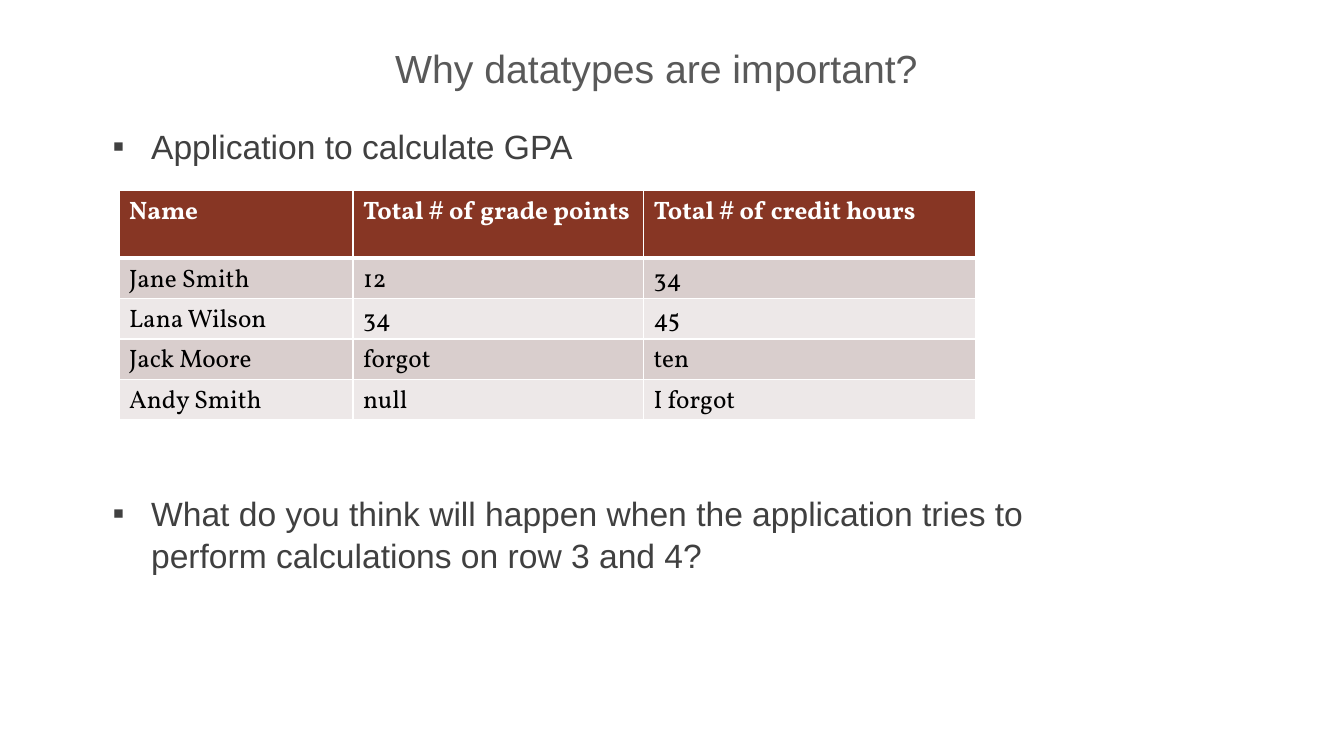
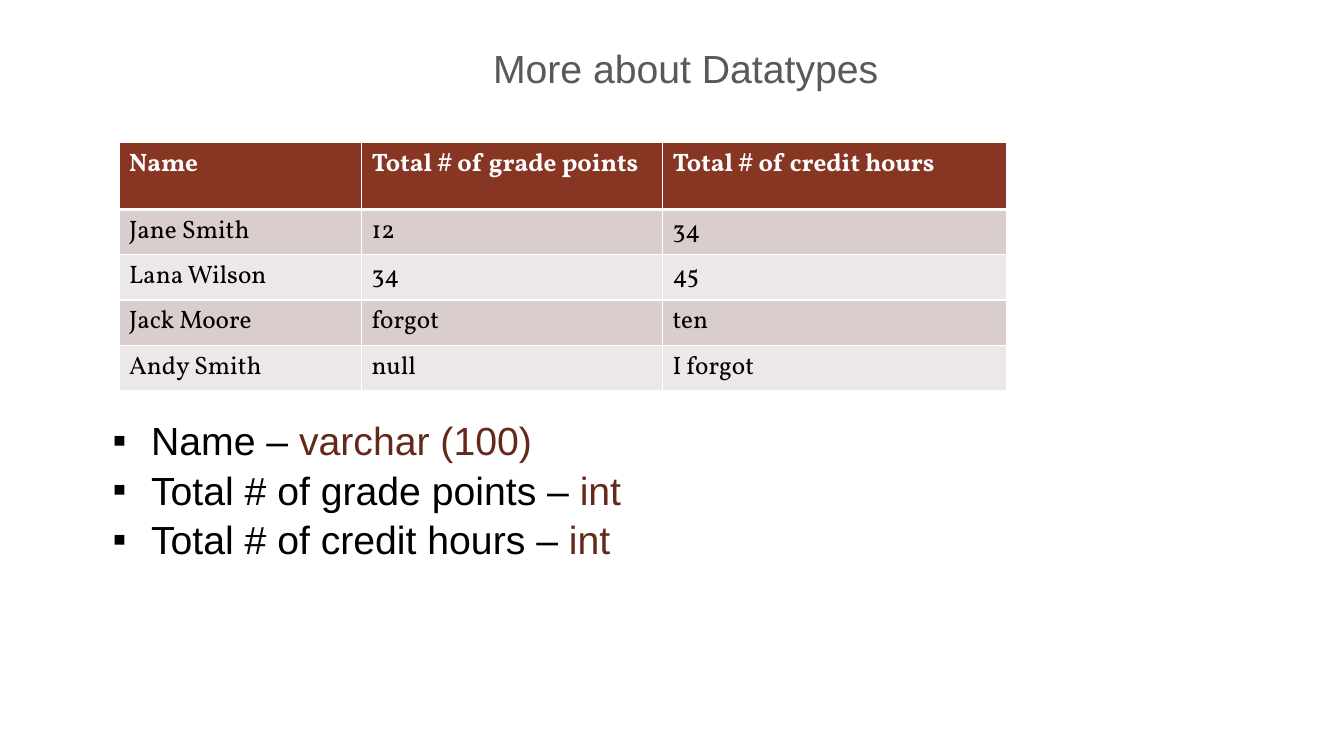
from lxml import etree
from pptx import Presentation
from pptx import util as u
from pptx.dml.color import RGBColor
from pptx.enum import text
from pptx.oxml import ns

# Shared style
TITLE, BODY, BLACK, WHITE = "595959", "404040", "000000", "FFFFFF"
ACCENT, HEADER, BANDS = "65291B", "873624", ("D9CECD", "EDE8E8")
TEXT_FONT, TABLE_FONT = "Arial", "Vollkorn"
HEADER_HEIGHT = 1.7
COLUMN_SHARES = (0.273, 0.339, 0.388)
BULLET_INDENT = u.Cm(0.97)

GRADES = [
    ("Name", "Total # of grade points", "Total # of credit hours"),
    ("Jane Smith", "12", "34"),
    ("Lana Wilson", "34", "45"),
    ("Jack Moore", "forgot", "ten"),
    ("Andy Smith", "null", "I forgot"),
]


def color(value):
    return RGBColor.from_string(value)


def add_span(para, words, size, fill, font=TEXT_FONT, bold=False):
    span = para.add_run()
    span.text = words
    span.font.size = u.Pt(size)
    span.font.name = font
    span.font.bold = bold
    span.font.color.rgb = color(fill)


def add_box(page, left, top, width, height):
    box = page.shapes.add_textbox(u.Cm(left), u.Cm(top), u.Cm(width), u.Cm(height))
    box.text_frame.word_wrap = True
    return box.text_frame


def add_title(page, words, width, height):
    frame = add_box(page, 7.14, 0.86, width, height)
    frame.margin_top = u.Cm(0.25)
    para = frame.paragraphs[0]
    para.alignment = text.PP_ALIGN.CENTER
    add_span(para, words, 28, TITLE)


def add_bullets(page, items, size, top, width, height):
    """Each item is a list of (words, colour) spans."""
    frame = add_box(page, 2.59, top, width, height)
    for index, spans in enumerate(items):
        para = frame.add_paragraph() if index else frame.paragraphs[0]
        props = para._p.get_or_add_pPr()
        props.set("marL", str(BULLET_INDENT))
        props.set("indent", str(-BULLET_INDENT))
        etree.SubElement(props, ns.qn("a:buFont")).set("typeface", TEXT_FONT)
        etree.SubElement(props, ns.qn("a:buChar")).set("char", "▪")
        para.line_spacing = 1.05
        for words, fill in spans:
            add_span(para, words, size, fill)


def set_borders(cell, widths):
    props = cell._tc.get_or_add_tcPr()
    for side, width in zip("LRTB", widths):
        line = etree.SubElement(props, ns.qn(f"a:ln{side}"), w=str(u.Pt(width)))
        fill = etree.SubElement(line, ns.qn("a:solidFill"))
        etree.SubElement(fill, ns.qn("a:srgbClr"), val=WHITE)


def add_grades(page, top, width, row_height):
    height = HEADER_HEIGHT + row_height * (len(GRADES) - 1)
    table = page.shapes.add_table(len(GRADES), len(COLUMN_SHARES), u.Cm(3),
                                  u.Cm(top), u.Cm(width), u.Cm(height)).table
    for column, share in zip(table.columns, COLUMN_SHARES):
        column.width = u.Cm(width * share)
    for row, values in enumerate(GRADES):
        is_header = row == 0
        table.rows[row].height = u.Cm(HEADER_HEIGHT if is_header else row_height)
        for column, words in enumerate(values):
            cell = table.cell(row, column)
            # A thick rule separates the header from the rows
            set_borders(cell, (1, 1, 3 if row == 1 else 1, 3 if is_header else 1))
            cell.fill.solid()
            cell.fill.fore_color.rgb = color(HEADER if is_header else BANDS[(row - 1) % 2])
            cell.margin_bottom = 0
            add_span(cell.text_frame.paragraphs[0], words, 18,
                     WHITE if is_header else BLACK, TABLE_FONT, is_header)


def build_importance(page):
    add_title(page, "Why datatypes are important?", 18.8, 1.63)
    add_bullets(page, [[("Application to calculate GPA", BODY)]], 24, 3, 28.8, 1.27)
    add_grades(page, 4.8, 21.6, 1.02)
    question = ("What do you think will happen when the application tries to "
                "perform calculations on row 3 and 4?")
    add_bullets(page, [[(question, BODY)]], 24, 12.24, 24.23, 2.31)


def build_details(page):
    add_title(page, "More about Datatypes ", 20.55, 1.78)
    add_grades(page, 3.58, 22.38, 1.14)
    types = zip(GRADES[0], ("varchar (100)", "int", "int"))
    items = [[(f"{name} – ", BLACK), (kind, ACCENT)] for name, kind in types]
    add_bullets(page, items, 28, 10.31, 25.98, 3.84)


def main():
    deck = Presentation()
    deck.slide_width, deck.slide_height = u.Cm(33.87), u.Cm(19.05)
    for build in (build_importance, build_details):
        page = deck.slides.add_slide(deck.slide_layouts[6])
        page.background.fill.solid()
        page.background.fill.fore_color.rgb = color(WHITE)
        build(page)
    deck.save("out.pptx")


if __name__ == "__main__":
    main()
